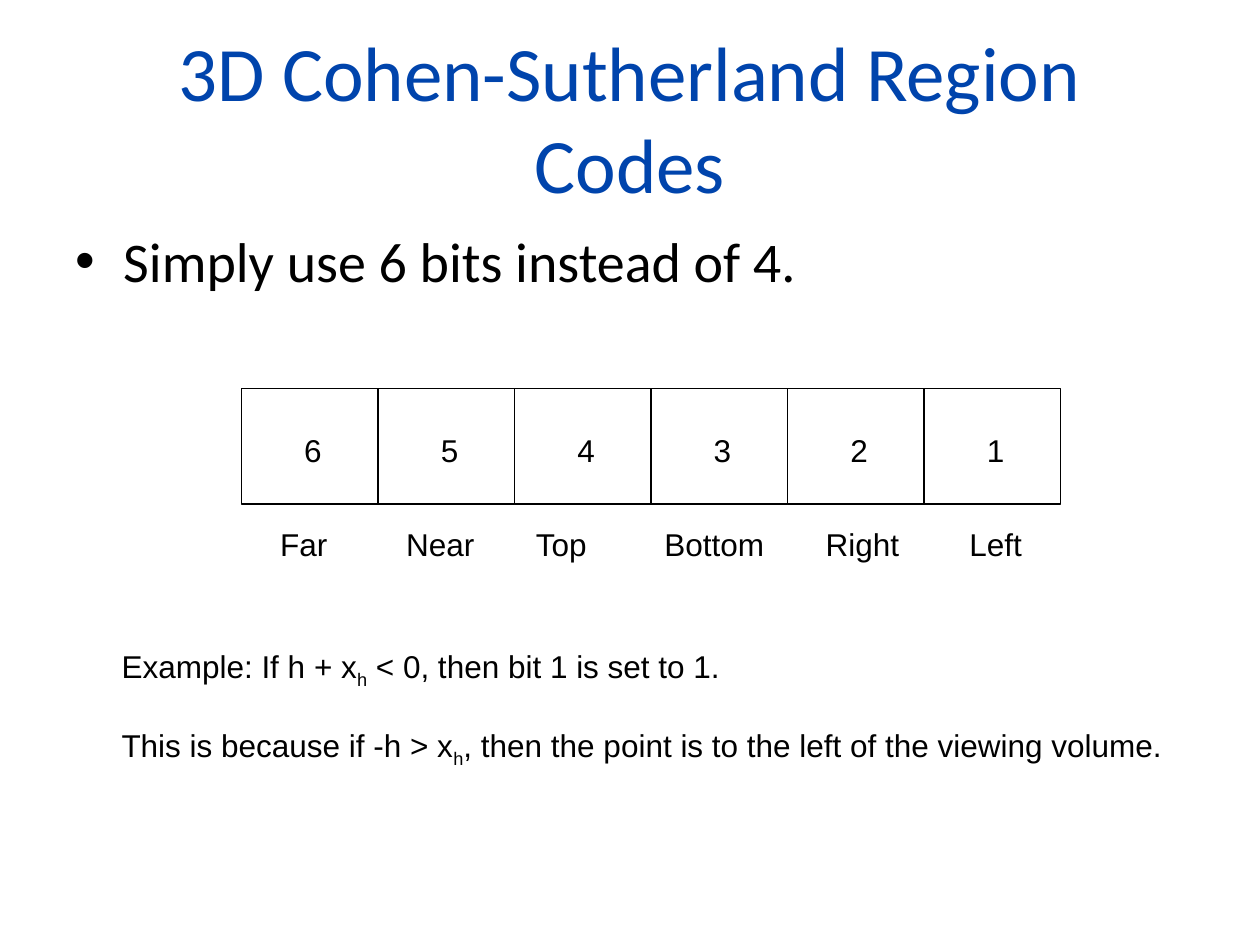
from dataclasses import dataclass

from lxml.etree import SubElement
from pptx import Presentation
from pptx.dml.color import RGBColor
from pptx.enum.shapes import MSO_SHAPE as Shape
from pptx.enum.text import MSO_ANCHOR as Anchor, PP_ALIGN as Align
from pptx.oxml.ns import qn
from pptx.util import Inches, Pt


@dataclass(frozen=True)
class Theme:
    blue: RGBColor = RGBColor(0x00, 0x44, 0xAC)
    black: RGBColor = RGBColor(0, 0, 0)
    heading_font: str = "Calibri"
    label_font: str = "Arial"
    title_size: int = 44
    bullet_size: int = 32
    label_size: int = 18
    line_width: float = 0.75


class SlideBuilder:
    """Places elements on a grid of 12 units to the inch (120 by 90)."""

    def __init__(self, slide, theme):
        self.slide = slide
        self.theme = theme

    @staticmethod
    def grid(*units):
        return [Inches(unit / 12) for unit in units]

    def style(self, font, **changes):
        values = {"name": self.theme.label_font, "size": self.theme.label_size,
                  "color": self.theme.black} | changes
        font.color.rgb = values.pop("color")
        values["size"] = Pt(values["size"])
        for name, value in values.items():
            setattr(font, name, value)

    def text_box(self, box, wrap=True, anchor=Anchor.TOP):
        frame = self.slide.shapes.add_textbox(*self.grid(*box)).text_frame
        frame.word_wrap = wrap
        frame.vertical_anchor = anchor
        return frame

    def title(self, text, box):
        paragraph = self.text_box(box, anchor=Anchor.MIDDLE).paragraphs[0]
        paragraph.text = text
        paragraph.alignment = Align.CENTER
        self.style(paragraph.runs[0].font, name=self.theme.heading_font,
                   size=self.theme.title_size, color=self.theme.blue)

    def bullet(self, text, box, indent=0.38):
        paragraph = self.text_box(box).paragraphs[0]
        properties = paragraph._p.get_or_add_pPr()
        properties.set("marL", str(Inches(indent)))
        properties.set("indent", str(-Inches(indent)))
        SubElement(properties, qn("a:buFont"), typeface="Arial")
        SubElement(properties, qn("a:buChar"), char="•")
        paragraph.text = text
        self.style(paragraph.runs[0].font, name=self.theme.heading_font,
                   size=self.theme.bullet_size)

    def bit_cell(self, digit, left, top, width, height):
        cell = self.slide.shapes.add_shape(
            Shape.RECTANGLE, *self.grid(left, top, width, height))
        cell.shadow.inherit = False
        cell.fill.background()
        cell.line.color.rgb = self.theme.black
        cell.line.width = Pt(self.theme.line_width)
        frame = self.text_box((left + 4.8, top + 3.45, 4.1, 4.8), wrap=False)
        frame.text = digit
        self.style(frame.paragraphs[0].runs[0].font)

    def tabbed_labels(self, labels, stops, box):
        paragraph = self.text_box(box).paragraphs[0]
        tabs = SubElement(paragraph._p.get_or_add_pPr(), qn("a:tabLst"))
        for stop in stops:
            SubElement(tabs, qn("a:tab"), pos=str(Inches(stop)), algn="l")
        run = paragraph.add_run()
        run.text = "\t".join(labels)
        self.style(run.font)

    def formula_lines(self, lines, box, gap):
        """Each line is (before, subscript, after)."""
        frame = self.text_box(box, wrap=False)
        for index, parts in enumerate(lines):
            paragraph = frame.add_paragraph() if index else frame.paragraphs[0]
            if index:
                paragraph.space_before = Pt(gap)
            for part, baseline in zip(parts, (0, -25000, 0)):
                run = paragraph.add_run()
                run.text = part
                self.style(run.font)
                if baseline:
                    run._r.get_or_add_rPr().set("baseline", str(baseline))


def main():
    presentation = Presentation()
    presentation.slide_width, presentation.slide_height = Inches(10), Inches(7.5)
    slide = presentation.slides.add_slide(presentation.slide_layouts[6])
    builder = SlideBuilder(slide, Theme())

    # Heading and main point
    builder.title("3D Cohen-Sutherland Region Codes", (6, 3.6, 108, 15))
    builder.bullet("Simply use 6 bits instead of 4.", (6, 21, 108, 18))

    # Region code, highest bit first
    for column, digit in enumerate("654321"):
        builder.bit_cell(digit, 23 + 13 * column, 37, 13, 11)
    builder.tabbed_labels(
        ["Far", "Near", "Top", "Bottom", "Right", "Left"],
        [1, 2.03, 3.05, 4.33, 5.47], (25.5, 49.4, 75, 4.8))

    # Worked example
    builder.formula_lines(
        [("Example: If h + x", "h", " < 0, then bit 1 is set to 1."),
         ("This is because if -h > x", "h",
          ", then the point is to the left of the viewing volume.")],
        (10.4, 61, 101.5, 13), gap=20.7)

    presentation.save("out.pptx")


if __name__ == "__main__":
    main()
